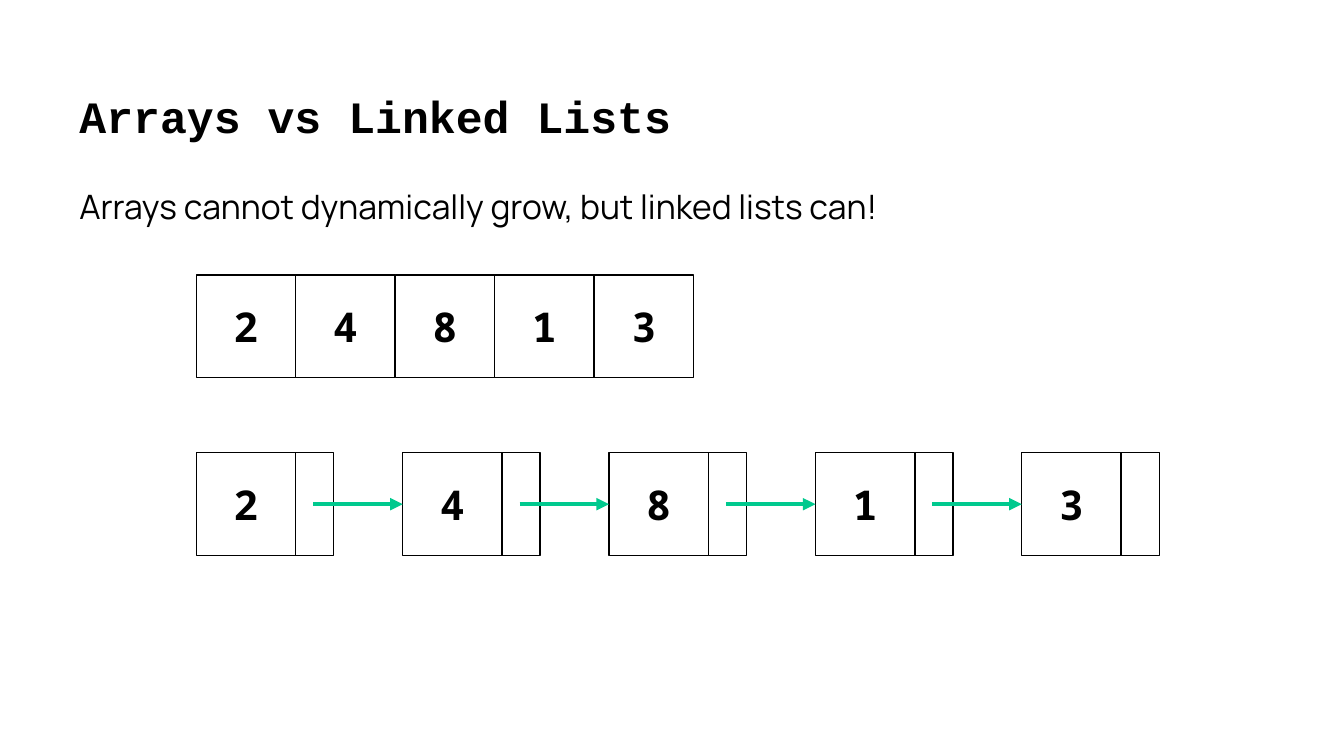
from dataclasses import dataclass
from itertools import pairwise

from lxml.etree import SubElement
from pptx import Presentation
from pptx.dml.color import RGBColor
from pptx.enum.shapes import MSO_CONNECTOR as Connector, MSO_SHAPE as Shape
from pptx.enum.text import MSO_ANCHOR as Anchor, MSO_AUTO_SIZE as AutoSize, PP_ALIGN as Align
from pptx.oxml.ns import qn
from pptx.util import Cm, Pt


@dataclass(frozen=True)
class Theme:
    """Colours, fonts and sizes of the slide."""
    ink: RGBColor = RGBColor(0, 0, 0)
    paper: RGBColor = RGBColor(255, 255, 255)
    accent: RGBColor = RGBColor(0x00, 0xC9, 0x8E)
    title_font: str = "Courier New"
    body_font: str = "Manrope"
    value_font: str = "Noto Sans Mono"
    title_size: Pt = Pt(24)
    body_size: Pt = Pt(18)
    value_size: Pt = Pt(22)
    outline: Pt = Pt(0.75)
    arrow: Pt = Pt(2.25)


THEME = Theme()
VALUES = "24813"
CELL_WIDTH = Cm(1.88)
POINTER_WIDTH = Cm(0.72)
NODE_PITCH = Cm(3.9)
ARROW_INSET = Cm(0.33)


def write(shape, text, font_name, size, bold, align, anchor):
    """Fill a shape's text frame with one formatted run."""
    frame = shape.text_frame
    frame.word_wrap = True
    frame.auto_size = AutoSize.NONE
    frame.vertical_anchor = anchor
    frame.margin_left = frame.margin_right = Cm(0.25)
    frame.margin_top = frame.margin_bottom = Cm(0.25)
    paragraph = frame.paragraphs[0]
    paragraph.alignment = align
    run = paragraph.add_run()
    run.text = text
    run.font.name, run.font.size, run.font.bold = font_name, size, bold
    run.font.color.rgb = THEME.ink
    return paragraph


def add_cell(slide, left, top, width, height, value=""):
    """Add an outlined cell, with a centred value if there is one."""
    cell = slide.shapes.add_shape(Shape.RECTANGLE, left, top, width, height)
    cell.shadow.inherit = False
    cell.fill.solid()
    cell.fill.fore_color.rgb = THEME.paper
    cell.line.color.rgb = THEME.ink
    cell.line.width = THEME.outline
    if value:
        write(cell, value, THEME.value_font, THEME.value_size, True, Align.CENTER, Anchor.MIDDLE)
    return cell


def add_arrow(slide, pointer, target):
    """Draw an arrow from inside a pointer cell to the next node."""
    middle = pointer.top + pointer.height // 2
    arrow = slide.shapes.add_connector(
        Connector.STRAIGHT, pointer.left + ARROW_INSET, middle, target.left, middle)
    arrow.end_connect(target, 1)
    arrow.line.color.rgb = THEME.accent
    arrow.line.width = THEME.arrow
    SubElement(arrow.line._get_or_add_ln(), qn("a:tailEnd"), type="triangle")
    SubElement(arrow._element.spPr, qn("a:effectLst"))


def add_heading(slide, left, top, width, height):
    """Place the title and the statement below it."""
    title = slide.shapes.title
    title.left, title.top, title.width, title.height = left, top, width, Cm(1.6)
    write(title, "Arrays vs Linked Lists", THEME.title_font, THEME.title_size,
          True, Align.LEFT, Anchor.BOTTOM)
    body_height = Cm(1.27)
    body = slide.shapes.add_textbox(left, top + height - body_height, width, body_height)
    paragraph = write(body, "Arrays cannot dynamically grow, but linked lists can!",
                      THEME.body_font, THEME.body_size, False, Align.LEFT, Anchor.TOP)
    paragraph.line_spacing = 1.15
    paragraph.space_after = Pt(10)


def add_array(slide, left, top, height):
    """Draw the values as adjoining cells."""
    for index, value in enumerate(VALUES):
        add_cell(slide, left + index * CELL_WIDTH, top, CELL_WIDTH, height, value)


def add_linked_list(slide, left, top, height):
    """Draw the values as nodes joined by arrows."""
    nodes = []
    for index, value in enumerate(VALUES):
        node_left = left + index * NODE_PITCH
        cell = add_cell(slide, node_left, top, CELL_WIDTH, height, value)
        pointer = add_cell(slide, node_left + CELL_WIDTH, top, POINTER_WIDTH, height)
        nodes.append((cell, pointer))
    for (_, pointer), (target, _) in pairwise(nodes):
        add_arrow(slide, pointer, target)


def main():
    """Build and save the presentation."""
    presentation = Presentation()
    presentation.slide_width, presentation.slide_height = Cm(25.4), Cm(14.29)
    slide = presentation.slides.add_slide(presentation.slide_layouts[5])
    slide.background.fill.solid()
    slide.background.fill.fore_color.rgb = THEME.paper
    add_heading(slide, Cm(1.25), Cm(1.35), Cm(22.89), Cm(3.07))
    add_array(slide, Cm(3.71), Cm(5.2), Cm(1.94))
    add_linked_list(slide, Cm(3.71), Cm(8.56), Cm(1.94))
    presentation.save("out.pptx")


if __name__ == "__main__":
    main()
